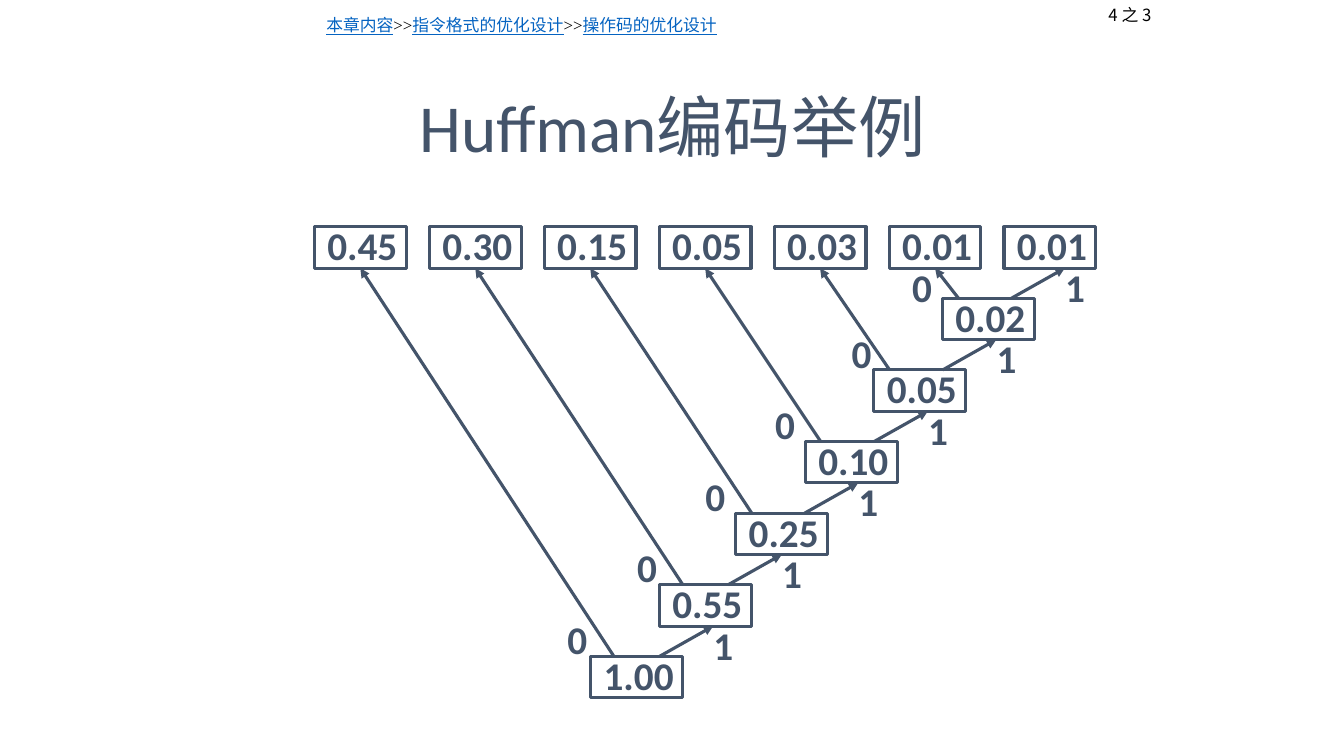
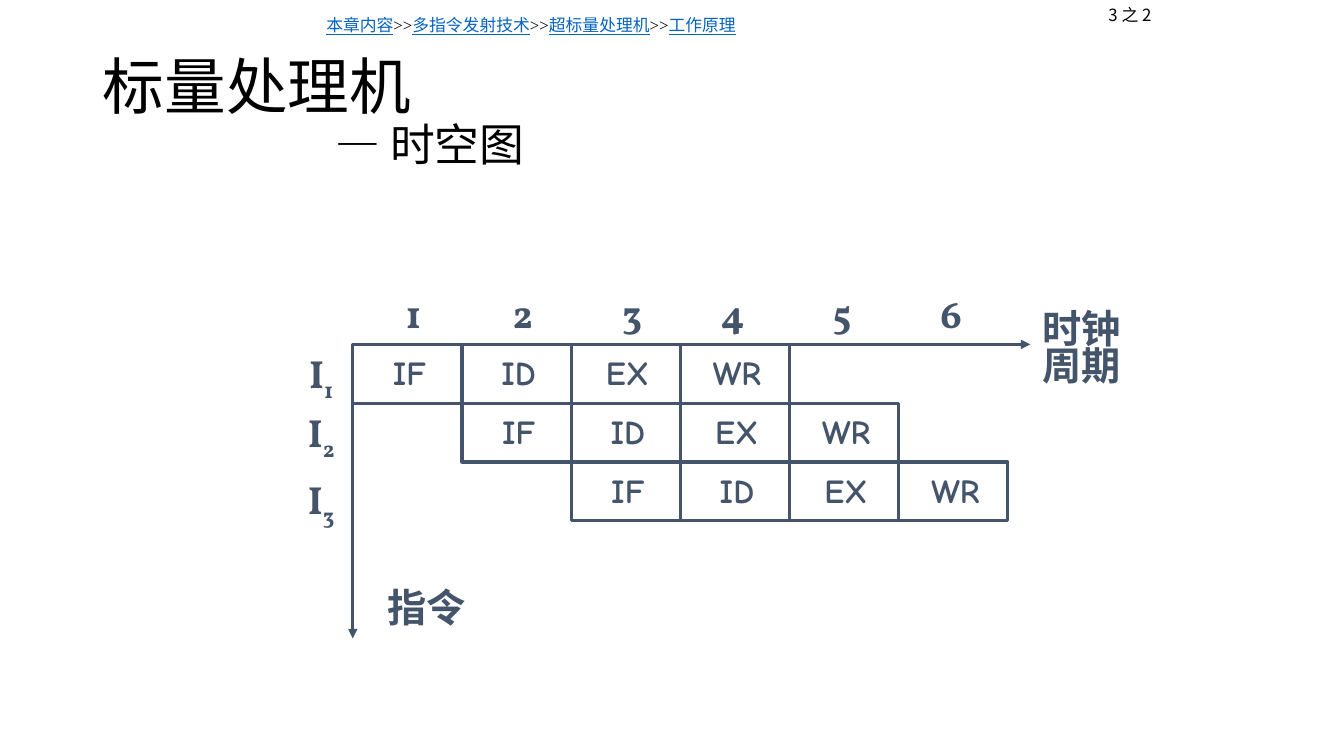
from lxml.etree import SubElement
from pptx import Presentation
from pptx.dml.color import RGBColor
from pptx.enum.shapes import MSO_CONNECTOR, MSO_SHAPE
from pptx.enum.text import MSO_ANCHOR, MSO_AUTO_SIZE, PP_ALIGN
from pptx.oxml.ns import qn
from pptx.util import Pt

SLATE = RGBColor(0x44, 0x54, 0x6A)
LINK = RGBColor(0x05, 0x63, 0xC1)
BLACK = RGBColor(0, 0, 0)
HAN_FONT = "Noto Sans CJK SC"
LINE_WIDTH = 2.25

HUFFMAN = {
    "trail": ["本章内容", "指令格式的优化设计", "操作码的优化设计"],
    "page": "4 之 3",
    "title": "Huffman编码举例",
    "leaves": ["0.45", "0.30", "0.15", "0.05", "0.03", "0.01", "0.01"],
    "nodes": [
        ("1.00", 422, 399.6),
        ("0.55", 471, 449.3),
        ("0.25", 525.6, 498.2),
        ("0.10", 575.3, 547.9),
        ("0.05", 624.2, 602.6),
        ("0.02", 673.2, 645.8),
    ],
}
PIPELINE = {
    "trail": ["本章内容", "多指令发射技术", "超标量处理机", "工作原理"],
    "page": "3 之 2",
    "title": "标量处理机",
    "subtitle": "— 时空图",
    "stages": ["IF", "ID", "EX", "WR"],
    "instruction_tops": [246, 288, 336],
    "cycle_lefts": [270, 348, 426, 498, 576, 654],
    "time_axis": ["时钟", "周期"],
    "instruction_axis": "指令",
}


def write(p, text, size=28, font="Calibri", color=SLATE, bold=False,
          underline=False, baseline=None, align=None, spacing=None):
    if align is not None:
        p.alignment = align
    if spacing is not None:
        p.line_spacing = spacing
    r = p.add_run()
    r.text = text
    r.font.size = Pt(size)
    r.font.bold = bold
    r.font.underline = underline
    r.font.color.rgb = color
    r.font.name = font
    rPr = r._r.get_or_add_rPr()
    SubElement(rPr, qn("a:ea"), typeface=HAN_FONT)
    if baseline is not None:
        rPr.set("baseline", str(baseline))


def add_text(slide, left, top, width, height):
    sp = slide.shapes.add_textbox(Pt(left), Pt(top), Pt(width), Pt(height))
    sp.text_frame.word_wrap = True
    return sp


def fill_label(sp, lines, **fmt):
    tf = sp.text_frame
    tf.word_wrap = False
    tf.vertical_anchor = MSO_ANCHOR.MIDDLE
    tf.margin_left, tf.margin_top = Pt(5.76), Pt(2.88)
    tf.margin_right, tf.margin_bottom = Pt(2.88), Pt(0)
    for i, line in enumerate(lines):
        p = tf.paragraphs[0] if i == 0 else tf.add_paragraph()
        write(p, line, bold=True, align=PP_ALIGN.CENTER, spacing=0.8, **fmt)
    return sp


def add_label(slide, lines, left, top, width, height, **fmt):
    return fill_label(add_text(slide, left, top, width, height), lines, **fmt)


def add_box(slide, text, left, top, width, height, **fmt):
    sp = slide.shapes.add_shape(MSO_SHAPE.RECTANGLE, Pt(left), Pt(top),
                                Pt(width), Pt(height))
    sp.shadow.inherit = False
    sp.fill.background()
    sp.line.color.rgb = SLATE
    sp.line.width = Pt(LINE_WIDTH)
    return fill_label(sp, [text], **fmt)


def add_arrow(slide, x1, y1, x2, y2):
    c = slide.shapes.add_connector(MSO_CONNECTOR.STRAIGHT, Pt(x1), Pt(y1),
                                   Pt(x2), Pt(y2))
    c.line.color.rgb = SLATE
    c.line.width = Pt(LINE_WIDTH)
    spPr = c._element.spPr
    SubElement(spPr.find(qn("a:ln")), qn("a:tailEnd"), type="triangle")
    SubElement(spPr, qn("a:effectLst"))
    return c


def start_slide(prs, content):
    slide = prs.slides.add_slide(prs.slide_layouts[5])
    title = slide.shapes.title
    title.left, title.top = Pt(66.24), Pt(28.8)
    title.width, title.height = Pt(828), Pt(104.4)
    title.text_frame.vertical_anchor = MSO_ANCHOR.MIDDLE
    title.text_frame.auto_size = MSO_AUTO_SIZE.NONE

    p = add_text(slide, 226, 7.2, 596, 21.6).text_frame.paragraphs[0]
    for i, step in enumerate(content["trail"]):
        if i:
            write(p, ">>", size=12, font="Times New Roman", color=BLACK)
        write(p, step, size=12, font="Times New Roman", color=LINK,
              underline=True)
    p = add_text(slide, 774, 0, 66.24, 21.6).text_frame.paragraphs[0]
    write(p, content["page"], size=12, font=HAN_FONT, color=BLACK,
          align=PP_ALIGN.CENTER)
    return slide, title.text_frame


def build_huffman(prs):
    slide, tf = start_slide(prs, HUFFMAN)
    write(tf.paragraphs[0], HUFFMAN["title"], size=48,
          align=PP_ALIGN.CENTER, spacing=1.3)
    box_w, box_h, bit_w = 65.6, 29.6, 21.6
    leaf_left, leaf_top, leaf_step = 224.6, 162, 82.1
    root_top, level_step = 468.8, 51.14
    zero_start, zero_step = 438.5, 49.24
    one_run, one_rise = 38.2, level_step - box_h

    leaves = [add_box(slide, value, leaf_left + i * leaf_step, leaf_top,
                      box_w, box_h)
              for i, value in enumerate(HUFFMAN["leaves"])]
    last = len(HUFFMAN["nodes"]) - 1
    for i, (value, left, zero_left) in enumerate(HUFFMAN["nodes"]):
        top = root_top - i * level_step
        add_box(slide, value, left, top, box_w, box_h)
        zero = add_arrow(slide, zero_start + i * zero_step, top,
                         leaf_left + i * leaf_step + box_w / 2,
                         leaf_top + box_h)
        zero.end_connect(leaves[i], 2)
        one_x, one_y = left + 0.75 * box_w + one_run, top - one_rise
        add_arrow(slide, one_x - one_run, top, one_x, one_y)
        zero_top = one_y if i == last else top - 25.6
        add_label(slide, ["0"], zero_left, zero_top, bit_w, box_h)
        add_label(slide, ["1"], one_x - 5.5, one_y, bit_w, box_h)


def build_pipeline(prs):
    slide, tf = start_slide(prs, PIPELINE)
    write(tf.paragraphs[0], PIPELINE["title"], size=44, color=BLACK,
          align=PP_ALIGN.LEFT, spacing=0.9)
    p = tf.add_paragraph()
    p._p.get_or_add_pPr().set("marL", str(Pt(166)))
    write(p, PIPELINE["subtitle"], size=32, color=BLACK,
          align=PP_ALIGN.LEFT, spacing=0.9)
    x0, y0, cell_w, cell_h = 252, 246, 78, 42
    mark_w = 48

    for row, top in enumerate(PIPELINE["instruction_tops"]):
        for col, stage in enumerate(PIPELINE["stages"], row):
            add_box(slide, stage, x0 + col * cell_w, y0 + row * cell_h,
                    cell_w, cell_h, size=24, font="Comic Neue")
        sp = add_label(slide, ["I"], x0 - mark_w, top, mark_w, cell_h,
                       font="Vollkorn")
        write(sp.text_frame.paragraphs[0], str(row + 1), font="Vollkorn",
              bold=True, baseline=-25000)
    for cycle, left in enumerate(PIPELINE["cycle_lefts"], 1):
        add_label(slide, [str(cycle)], left, y0 - cell_h, mark_w, cell_h,
                  font="Vollkorn")
    add_arrow(slide, x0, y0, 736, y0)
    add_arrow(slide, x0, y0, x0, 456)
    add_label(slide, PIPELINE["time_axis"], 732, 216, cell_w, 66,
              font="Vollkorn")
    add_label(slide, [PIPELINE["instruction_axis"]], 264, 414, cell_w, cell_h,
              font="Vollkorn")


def main():
    prs = Presentation()
    prs.slide_width, prs.slide_height = Pt(960), Pt(540)
    build_huffman(prs)
    build_pipeline(prs)
    prs.save("out.pptx")


if __name__ == "__main__":
    main()
